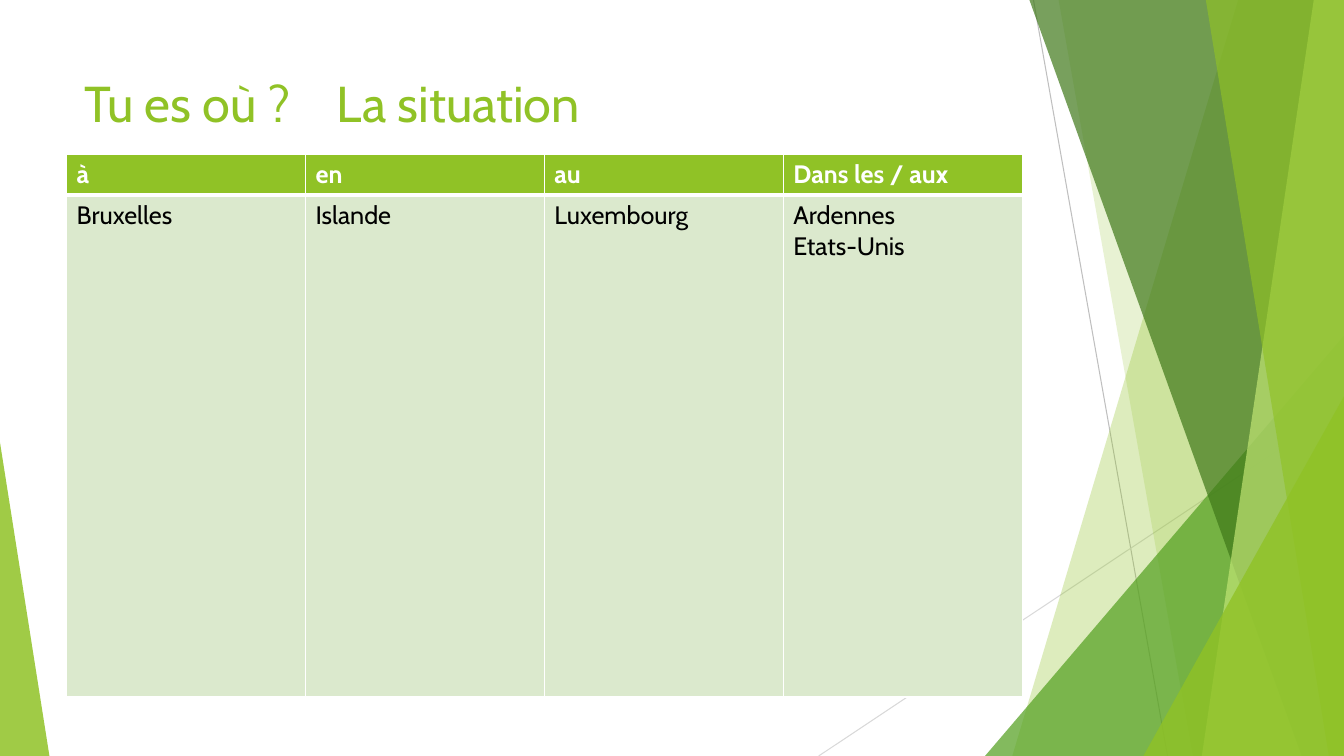
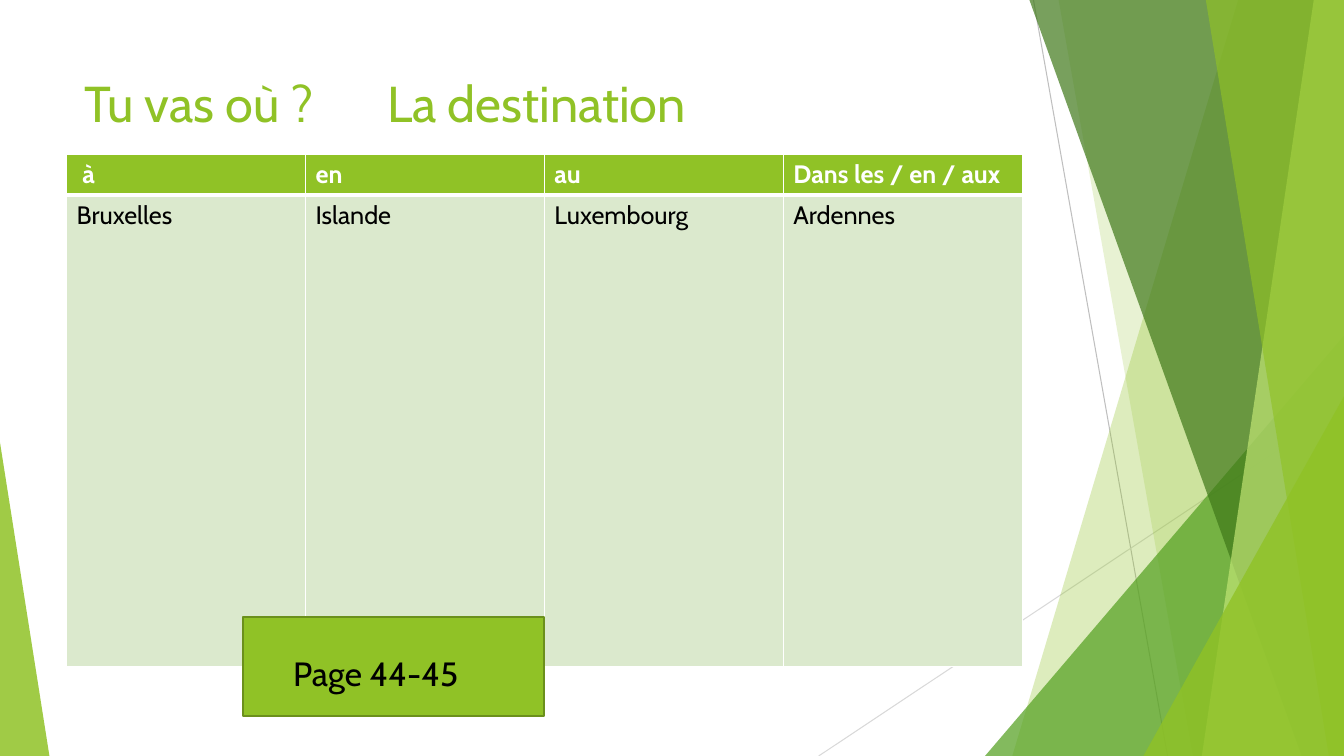
from lxml.etree import SubElement
from pptx import Presentation
from pptx.dml.color import RGBColor
from pptx.enum.shapes import MSO_CONNECTOR, MSO_SHAPE
from pptx.enum.text import MSO_ANCHOR, MSO_AUTO_SIZE, PP_ALIGN
from pptx.oxml.ns import qn
from pptx.util import Inches, Pt

W, H = 13.33, 7.5
FONT = "Cabin"
GREEN, MID, DARK, LIGHT = "90C226", "54A021", "3F7819", "C0E474"
PALE, EDGE, WHITE, BLACK = "DBE9CD", "6B901C", "FFFFFF", "000000"


def color(value):
    return RGBColor.from_string(value)


def add_run(p, text, size, value, bold=False):
    r = p.add_run()
    r.text = text
    r.font.name = FONT
    r.font.size = Pt(size)
    r.font.bold = bold
    r.font.color.rgb = color(value)


prs = Presentation()
prs.slide_width, prs.slide_height = Inches(W), Inches(H)

# Shared layout: only a title, top left
layout = prs.slide_layouts.get_by_name("Title Only")
for ph in list(layout.placeholders):
    if ph.placeholder_format.idx != 0:
        layout.shapes.element.remove(ph.element)
title = layout.placeholders[0]
title.left, title.top = Inches(0.74), Inches(0.67)
title.width, title.height = Inches(9.4), Inches(1.44)
title.text_frame.vertical_anchor = MSO_ANCHOR.TOP
title.text_frame.auto_size = MSO_AUTO_SIZE.NONE

# Shared decoration: thin lines, then translucent bands and corner triangles
s = prs.slides.add_slide(layout)
decor = []
for x1, y1, x2, y2, value in [(10.25, 0, 11.58, H, "BFBFBF"),
                              (W, 4.03, 8.12, H, "D9D9D9")]:
    line = s.shapes.add_connector(MSO_CONNECTOR.STRAIGHT, Inches(x1), Inches(y1),
                                  Inches(x2), Inches(y2))
    line.line.color.rgb = color(value)
    line.line.width = Pt(0.75)
    SubElement(line.element.spPr, qn("a:effectLst"))
    decor.append(line)

# band: x at the top edge, x at the bottom edge
# corner: left, top, width, position of the tip
for kind, place, value, alpha in [
    ("band", (12.28, 10.04), GREEN, 30),
    ("band", (10.5, 11.83), GREEN, 20),
    ("corner", (9.77, 3.33, 3.56, 1), MID, 72),
    ("band", (10.21, 12.91), DARK, 70),
    ("band", (13.03, 11.92), LIGHT, 70),
    ("band", (11.96, 13.18), GREEN, 65),
    ("corner", (11.34, 3.93, 1.99, 1), GREEN, 80),
    ("corner", (0, 4.39, 0.49, 0), GREEN, 85),
]:
    if kind == "band":
        top_x, bottom_x = place
        outline = s.shapes.build_freeform(Inches(top_x), 0)
        outline.add_line_segments([(Inches(W), 0), (Inches(W), Inches(H)),
                                   (Inches(bottom_x), Inches(H))], close=True)
        sp = outline.convert_to_shape()
    else:
        left, top, width, tip = place
        sp = s.shapes.add_shape(MSO_SHAPE.ISOSCELES_TRIANGLE, Inches(left), Inches(top),
                                Inches(width), Inches(H - top))
        sp.adjustments[0] = tip
    sp.shadow.inherit = False
    sp.line.fill.background()
    sp.fill.solid()
    sp.fill.fore_color.rgb = color(value)
    clr = next(sp.element.spPr.iter(qn("a:srgbClr")))
    SubElement(clr, qn("a:alpha"), val=str(alpha * 1000))
    decor.append(sp)

for sp in decor:
    layout.shapes.element.append(sp.element)

# Slides: title and table
lessons = [
    ("Tu es où ?\tLa situation", 4.98,
     [["à", "en", "au", "Dans les / aux"],
      ["Bruxelles", "Islande", "Luxembourg", "Ardennes\nEtats-Unis"]]),
    ("Tu vas où ?\t\tLa destination", 4.68,
     [[" à", "en", "au", "Dans les / en / aux"],
      ["Bruxelles", "Islande", "Luxembourg", "Ardennes"]]),
]
slides = [s, prs.slides.add_slide(layout)]
HEADER_H, COL_W = 0.4, 2.37
for s, (heading, body_h, rows) in zip(slides, lessons):
    p = s.shapes.title.text_frame.paragraphs[0]
    p.alignment = PP_ALIGN.LEFT
    add_run(p, heading, 36, GREEN)

    table = s.shapes.add_table(2, 4, Inches(0.66), Inches(1.53), Inches(4 * COL_W),
                               Inches(HEADER_H + body_h)).table
    table.rows[0].height, table.rows[1].height = Inches(HEADER_H), Inches(body_h)
    for col in table.columns:
        col.width = Inches(COL_W)
    for i, row in enumerate(rows):
        header = i == 0
        # The rule between header and body is thicker
        widths = {"L": 1, "R": 1, "T": 1 if header else 3, "B": 3 if header else 1}
        for j, text in enumerate(row):
            cell = table.cell(i, j)
            tcPr = cell._tc.get_or_add_tcPr()
            for side, width in widths.items():
                ln = SubElement(tcPr, qn("a:ln" + side), w=str(Pt(width)))
                SubElement(SubElement(ln, qn("a:solidFill")), qn("a:srgbClr"), val=WHITE)
            cell.fill.solid()
            cell.fill.fore_color.rgb = color(GREEN if header else PALE)
            tf = cell.text_frame
            for n, part in enumerate(text.split("\n")):
                p = tf.add_paragraph() if n else tf.paragraphs[0]
                add_run(p, part, 18, WHITE if header else BLACK, header)

# Page reference on the second slide
s = slides[1]
box = s.shapes.add_shape(MSO_SHAPE.RECTANGLE, Inches(2.41), Inches(6.12),
                         Inches(2.99), Inches(0.98))
box.shadow.inherit = False
box.fill.solid()
box.fill.fore_color.rgb = color(GREEN)
box.line.color.rgb = color(EDGE)
box.line.width = Pt(1.5)
tf = s.shapes.add_textbox(Inches(2.81), Inches(6.43), Inches(2.18), Inches(0.5)).text_frame
tf.word_wrap = True
add_run(tf.paragraphs[0], "Page 44-45", 24, BLACK)

prs.save("out.pptx")
